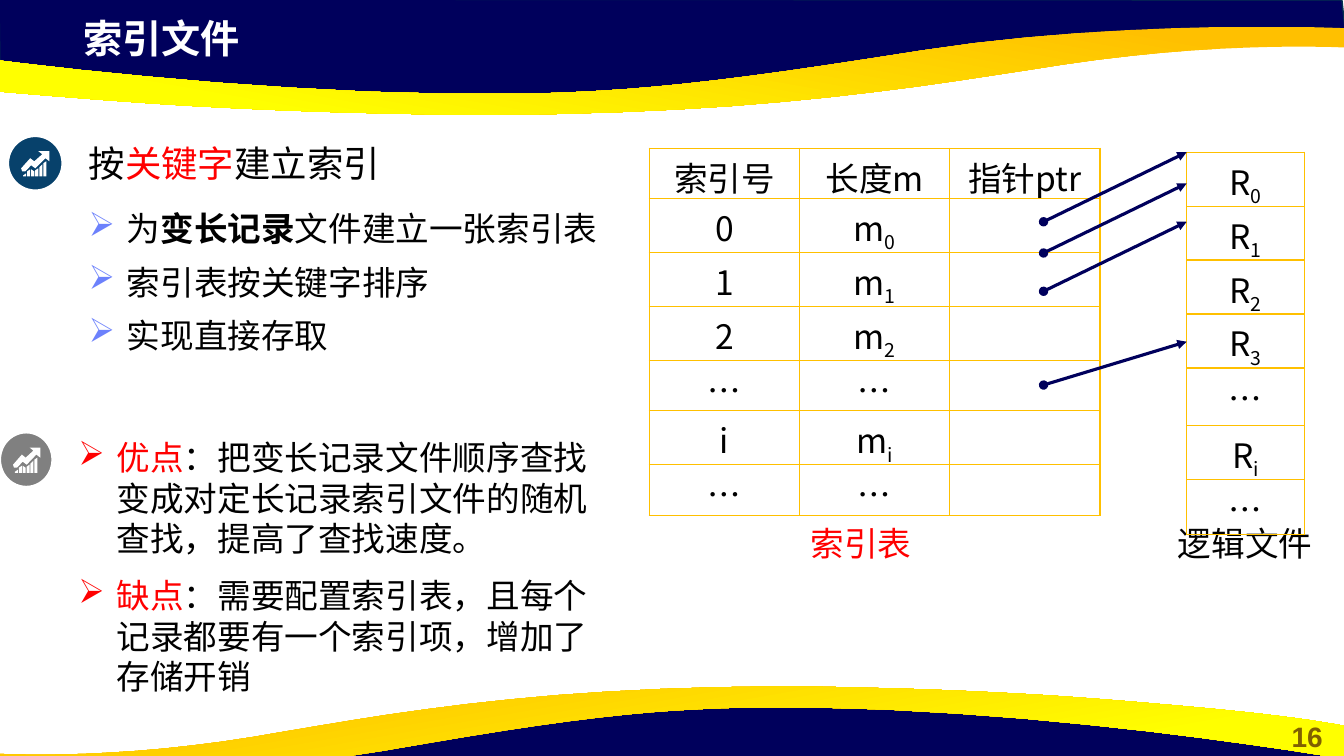
from lxml import etree
from pptx import Presentation
from pptx.dml.color import RGBColor
from pptx.enum.shapes import MSO_CONNECTOR, MSO_SHAPE
from pptx.enum.text import MSO_ANCHOR, PP_ALIGN
from pptx.oxml.ns import qn
from pptx.util import Inches, Pt

COLORS = {
    "navy": "00005C", "navy edge": "05304F", "amber": "FFC000", "yellow": "FFFF00",
    "blue": "07416B", "gray": "808080", "white": "FFFFFF", "black": "000000",
    "red": "FF0000", "bullet": "6C81FC", "olive": "806000",
}
RGB = {name: RGBColor.from_string(value) for name, value in COLORS.items()}
CJK = "Noto Sans CJK SC"

deck = Presentation()
deck.slide_width, deck.slide_height = Inches(13.33), Inches(7.5)
slide = deck.slides.add_slide(deck.slide_layouts[6])
shapes = slide.shapes


def draw_outline(contours):
    """Draw closed contours, given as points in inches, as one borderless shape."""
    scaled = [[(x * 1000, y * 1000) for x, y in points] for points in contours]
    builder = shapes.build_freeform(*scaled[0][0], scale=Inches(1) / 1000)
    for number, points in enumerate(scaled):
        if number:
            builder.move_to(*points[0])
        builder.add_line_segments(points[1:], close=True)
    outline = builder.convert_to_shape()
    outline.shadow.inherit = False
    outline.line.fill.background()
    return outline


def write(paragraph, runs, size=24, font="Arial", align=PP_ALIGN.LEFT):
    """Fill a paragraph with (text, colour, style) runs; style is "", "bold" or "sub"."""
    paragraph.alignment = align
    for text, color, style in runs:
        run = paragraph.add_run()
        run.text = text
        run.font.size, run.font.name = Pt(size), font
        run.font.bold = style == "bold"
        run.font.color.rgb = RGB[color]
        props = run.font._element
        etree.SubElement(props, qn("a:ea")).set("typeface", font)
        if style == "sub":
            props.set("baseline", "-25000")


# Waves along the top edge, turned by half a circle for the bottom edge
wave = [(-0.01, -0.01), (0, 0.7), (2.93, 1.02), (5.59, 1), (7.95, 0.88),
        (10.16, 0.5), (12.38, 0.33), (13.35, 0.38), (13.31, 0)]
ribbon_start = (4.83, 1.14)
ribbon_steps = [  # one point is a straight step, three points are a Bezier curve
    [(4.43, 1.14), (4.01, 1.13), (3.56, 1.12)],
    [(2.06, 1.08), (1.1, 1), (0.36, 0.94)],
    [(-0.88, 0.84), (-1.3, 0.75), (-1.33, 0.75)],
    [(-1.33, 0.42)],
    [(-1.33, 0.42), (2.18, 0.98), (5.17, 0.93)],
    [(6.26, 0.91), (7.08, 0.83), (9.15, 0.5)],
    [(11.21, 0.18), (13.33, 0.28), (13.33, 0.28)],
    [(13.33, 0.47)],
    [(13.3, 0.47)],
    [(13.05, 0.46), (11.95, 0.43), (10.55, 0.64)],
    [(9.18, 0.85), (7.62, 1.13), (4.83, 1.14)],
]
ribbon = [ribbon_start]
for step in ribbon_steps:
    if len(step) == 1:
        ribbon += step
        continue
    corners = [ribbon[-1], *step]
    for t in [i / 12 for i in range(1, 13)]:
        weights = ((1 - t) ** 3, 3 * t * (1 - t) ** 2, 3 * t * t * (1 - t), t ** 3)
        ribbon.append(tuple(sum(w * c[axis] for w, c in zip(weights, corners))
                            for axis in (0, 1)))

bottom_wave = [(13.32 - x, 7.93 - y) for x, y in wave]
bottom_ribbon = [(13.33 - (x + 1.33) * 0.91, 7.95 - y) for x, y in ribbon]
for navy_edge, band_edge, angle in [(wave, ribbon, 260), (bottom_wave, bottom_ribbon, 280)]:
    navy = draw_outline([navy_edge])
    navy.fill.solid()
    navy.fill.fore_color.rgb = RGB["navy"]
    navy.line.color.rgb, navy.line.width = RGB["navy edge"], Pt(1)
    band = draw_outline([band_edge])
    band.fill.gradient()
    band.fill.gradient_angle = angle
    for stop, position, color in zip(band.fill.gradient_stops, (0.11, 0.78), ("amber", "yellow")):
        stop.position, stop.color.rgb = position, RGB[color]

# Round chart icons
bars = [(0.02, 0.24, 0.22), (0.06, 0.2, 0.18), (0.1, 0.18, 0.2),
        (0.14, 0.19, 0.17), (0.18, 0.16, 0.13), (0.22, 0.12, 0.1)]
rising_arrow = [(0.17, 0), (0.28, 0), (0.28, 0.1), (0.24, 0.07), (0.14, 0.17), (0.1, 0.14),
                (0.04, 0.2), (0.01, 0.2), (0, 0.17), (0.09, 0.07), (0.13, 0.1), (0.21, 0.03)]
bar_outlines = [[(x, left_top), (x + 0.03, right_top), (x + 0.03, 0.25), (x, 0.25)]
                for x, left_top, right_top in bars]
for left, top, width, color in [(0.08, 1.35, 0.54, "blue"), (0, 4.29, 0.52, "gray")]:
    disc = shapes.add_shape(MSO_SHAPE.OVAL, Inches(left), Inches(top), Inches(width), Inches(0.54))
    disc.shadow.inherit = False
    disc.fill.solid()
    disc.fill.fore_color.rgb = RGB[color]
    disc.line.color.rgb, disc.line.width = RGB["white"], Pt(1.5)
    growth = draw_outline([[(left + 0.13 + x * width / 0.54, top + 0.15 + y) for x, y in points]
                           for points in [rising_arrow, *bar_outlines]])
    growth.fill.solid()
    growth.fill.fore_color.rgb = RGB["white"]

# Single-line texts
heading = [("按", "black", ""), ("关键字", "red", ""), ("建立索引", "black", "")]
for box, runs, size, font, align, anchor in [
    ((12.6, 7.09, 0.73, 0.44), [("16", "olive", "bold")], 20, "Arial", PP_ALIGN.CENTER, MSO_ANCHOR.TOP),
    ((0.73, 0.09, 7.68, 0.57), [("索引文件", "white", "bold")], 28, "Arial", PP_ALIGN.LEFT, MSO_ANCHOR.TOP),
    ((0.78, 1.4, 5.46, 0.43), heading, 26, "Arial", PP_ALIGN.LEFT, MSO_ANCHOR.MIDDLE),
    ((11.49, 5.14, 1.72, 0.51), [("逻辑文件", "black", "")], 24, CJK, PP_ALIGN.CENTER, MSO_ANCHOR.TOP),
    ((7.68, 5.14, 1.72, 0.51), [("索引表", "red", "")], 24, CJK, PP_ALIGN.CENTER, MSO_ANCHOR.TOP),
]:
    frame = shapes.add_textbox(*map(Inches, box)).text_frame
    frame.word_wrap, frame.vertical_anchor = True, anchor
    write(frame.paragraphs[0], runs, size, font, align)

# Bulleted lists
features = [
    [("为", "black", ""), ("变长记录", "black", "bold"), ("文件建立一张索引表", "black", "")],
    [("索引表按关键字排序", "black", "")],
    [("实现直接存取", "black", "")],
]
tradeoffs = [
    [("优点", "red", ""),
     ("：把变长记录文件顺序查找变成对定长记录索引文件的随机查找，提高了查找速度。", "black", "")],
    [("缺点", "red", ""),
     ("：需要配置索引表，且每个记录都要有一个索引项，增加了存储开销", "black", "")],
]
for box, items, bullet_color, line_spacing, gap in [
    ((0.78, 1.89, 5.6, 2.01), features, "bullet", 1.32, 0),
    ((0.68, 4.29, 5.47, 2.63), tradeoffs, "red", 1.0, 6),
]:
    frame = shapes.add_textbox(*map(Inches, box)).text_frame
    frame.word_wrap = True
    for number, runs in enumerate(items):
        item = frame.add_paragraph() if number else frame.paragraphs[0]
        item.level = 1
        item.line_spacing = line_spacing
        item.space_before, item.space_after = Pt(gap if number else 0), Pt(gap)
        props = item._p.get_or_add_pPr()
        props.set("marL", str(Inches(0.38)))
        props.set("indent", str(-Inches(0.38)))
        bullet_fill = etree.SubElement(props, qn("a:buClr"))
        etree.SubElement(bullet_fill, qn("a:srgbClr")).set("val", COLORS[bullet_color])
        etree.SubElement(props, qn("a:buChar")).set("char", "➢")
        write(item, runs)

# Index table and logical file; a "_" marks the start of a subscript
index_rows = [("索引号", "长度m", "指针ptr"), ("0", "m_0", ""), ("1", "m_1", ""), ("2", "m_2", ""),
              ("…", "…", ""), ("i", "m_i", ""), ("…", "…", "")]
record_rows = [("R_0",), ("R_1",), ("R_2",), ("R_3",), ("…",), ("R_i",), ("…",)]
for left, top, col_width, heights, rows in [
    (6.44, 1.47, 1.49, [0.5] * 7, index_rows),
    (11.77, 1.51, 1.17, [0.33] * 4 + [0.57, 0.33, 0.55], record_rows),
]:
    columns = len(rows[0])
    table = shapes.add_table(len(rows), columns, Inches(left), Inches(top),
                             Inches(col_width * columns), Inches(sum(heights))).table
    table.first_row = table.horz_banding = False
    for row, height, labels in zip(table.rows, heights, rows):
        row.height = Inches(height)
        for cell, label in zip(row.cells, labels):
            cell.vertical_anchor = MSO_ANCHOR.MIDDLE
            cell.margin_top = cell.margin_bottom = Inches(0.04)
            base, _, index = label.partition("_")
            runs = [(base, "black", "")] + ([(index, "black", "sub")] if index else [])
            write(cell.text_frame.paragraphs[0], runs, 24, CJK, PP_ALIGN.CENTER)
            for side in ("lnL", "lnR", "lnT", "lnB"):
                border = etree.SubElement(cell._tc.get_or_add_tcPr(), qn(f"a:{side}"), w=str(Pt(1)))
                border_fill = etree.SubElement(border, qn("a:solidFill"))
                etree.SubElement(border_fill, qn("a:srgbClr")).set("val", COLORS["amber"])
            cell.fill.background()

# Pointers from the index table to the records
for start_y, end_y in [(2.2, 1.51), (2.51, 1.82), (2.89, 2.2), (3.82, 3.39)]:
    pointer = shapes.add_connector(MSO_CONNECTOR.STRAIGHT, Inches(10.35), Inches(start_y),
                                   Inches(11.77), Inches(end_y))
    pointer.line.color.rgb, pointer.line.width = RGB["navy"], Pt(2.25)
    line = pointer.line._get_or_add_ln()
    etree.SubElement(line, qn("a:headEnd")).set("type", "oval")
    etree.SubElement(line, qn("a:tailEnd")).set("type", "triangle")
    etree.SubElement(pointer._element.spPr, qn("a:effectLst"))

deck.save("out.pptx")
